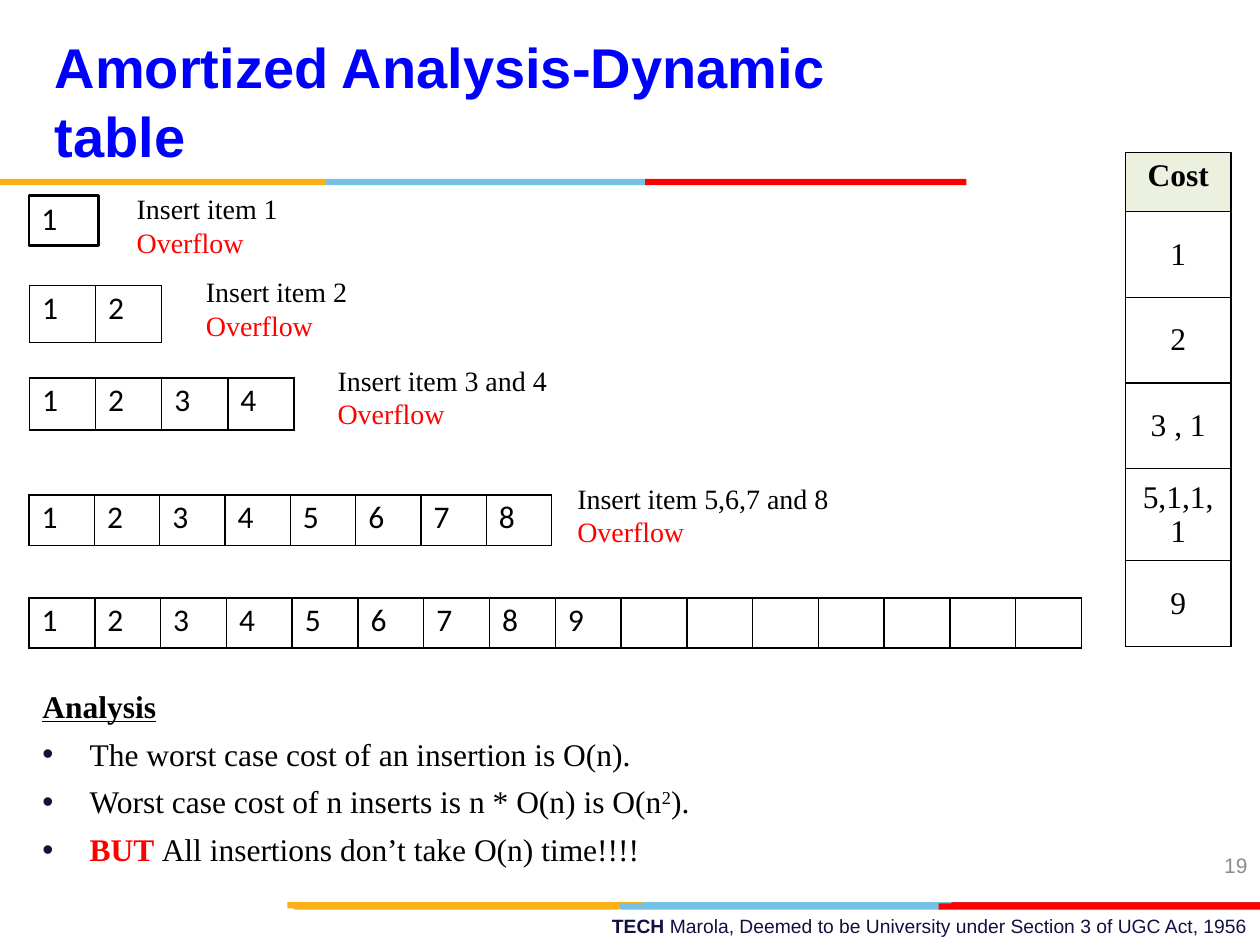
from dataclasses import dataclass
from typing import NamedTuple

from lxml.etree import SubElement
from pptx import Presentation
from pptx.dml.color import RGBColor
from pptx.enum.shapes import MSO_SHAPE
from pptx.enum.text import MSO_ANCHOR, MSO_AUTO_SIZE, PP_ALIGN
from pptx.oxml import parse_xml
from pptx.oxml.ns import nsdecls, qn
from pptx.util import Pt


@dataclass(frozen=True)
class Theme:
    sans: str = "Arial"
    serif: str = "Times New Roman"
    cell: str = "Calibri"
    black: str = "000000"
    white: str = "FFFFFF"
    red: str = "FF0000"
    crimson: str = "E31C24"
    blue: str = "0000FF"
    navy: str = "101141"
    grey: str = "8C8C8C"
    gold: str = "FCB017"
    sky: str = "76C2E5"
    header: str = "EBF1DE"
    title: int = 32
    body: int = 18
    label: int = 16
    number: int = 12
    footer: int = 11


class Box(NamedTuple):
    left: float
    top: float
    width: float
    height: float


class Strip(NamedTuple):
    top: float
    left: float
    width: float
    color: str


class ArrayTable(NamedTuple):
    box: Box
    slots: int
    filled: int


class Label(NamedTuple):
    box: Box
    text: str


class Span(NamedTuple):
    text: str
    color: str = "000000"
    bold: bool = False
    superscript: bool = False


T = Theme()
STANDARD = (7.2, 3.6, 7.2, 3.6)
SLOT = (7.2, 2.2, 0, 0)

STRIPS = [
    Strip(515.5, 364.3, 183.6, T.sky),
    Strip(515.5, 543.6, 176.4, T.crimson),
    Strip(515.5, 164.2, 203, T.gold),
    Strip(516.2, 354.2, 183.6, T.sky),
    Strip(516.2, 167.8, 186, T.gold),
    Strip(516.2, 536.4, 183.6, T.red),
    Strip(102.2, 185.8, 183.6, T.sky),
    Strip(102.2, 0, 185.8, T.gold),
    Strip(102.2, 368.6, 183.6, T.red),
]
ARRAYS = [
    ArrayTable(Box(16.8, 163.2, 75.6, 32.6), 2, 2),
    ArrayTable(Box(16.8, 216, 151.2, 29.8), 4, 4),
    ArrayTable(Box(16.6, 282.8, 298.8, 28.8), 8, 8),
    ArrayTable(Box(16.6, 341.6, 601.6, 28.8), 16, 9),
]
LABELS = [
    Label(Box(77.2, 108.7, 90, 40), "Insert item 1"),
    Label(Box(116.8, 156.2, 90, 40), "Insert item 2"),
    Label(Box(192, 206.6, 151.2, 40), "Insert item 3 and 4"),
    Label(Box(329, 274.1, 151.2, 40), "Insert item 5,6,7 and 8"),
]
COSTS = ["Cost", "1", "2", "3 , 1", "5,1,1,1", "9"]
COST_HEIGHTS = [33.8, 49, 49, 49, 52.6, 49]
POINTS = [
    [Span("The worst case cost of an insertion is O(n).")],
    [Span("Worst case cost of n inserts is n * O(n) is O(n"),
     Span("2", superscript=True), Span(").")],
    [Span("BUT ", T.red, bold=True), Span("All insertions don’t take O(n) time!!!!")],
]


def rgb(color: str) -> RGBColor:
    return RGBColor.from_string(color)


def style(font, name: str, size: float, color: str, bold: bool = False) -> None:
    font.name, font.size, font.bold = name, Pt(size), bold
    font.color.rgb = rgb(color)


def set_margins(obj, margins: tuple) -> None:
    """Apply left, top, right, bottom margins to a text frame or a table cell."""
    (obj.margin_left, obj.margin_top,
     obj.margin_right, obj.margin_bottom) = map(Pt, margins)


def add_text(s, box: Box, margins: tuple = STANDARD):
    tf = s.shapes.add_textbox(*map(Pt, box)).text_frame
    tf.word_wrap = True
    set_margins(tf, margins)
    return tf


def add_rect(s, box: Box, fill: str):
    sp = s.shapes.add_shape(MSO_SHAPE.RECTANGLE, *map(Pt, box))
    sp.shadow.inherit = False
    sp.fill.solid()
    sp.fill.fore_color.rgb = rgb(fill)
    sp.line.fill.background()
    return sp


def set_borders(cell) -> None:
    tc_pr = cell._tc.get_or_add_tcPr()
    for i, side in enumerate("LRTB"):
        tc_pr.insert(i, parse_xml(
            f'<a:ln{side} {nsdecls("a")} w="{Pt(1)}"><a:solidFill>'
            f'<a:srgbClr val="{T.black}"/></a:solidFill></a:ln{side}>'))


def add_table(s, rows: int, cols: int, box: Box):
    """Add a plain table with equal columns and black cell borders."""
    table = s.shapes.add_table(rows, cols, *map(Pt, box)).table
    table.first_row = table.horz_banding = False
    for col in table.columns:
        col.width = Pt(box.width / cols)
    for cell in table.iter_cells():
        cell.fill.background()
        set_borders(cell)
    return table


def add_array(s, array: ArrayTable) -> None:
    table = add_table(s, 1, array.slots, array.box)
    for i, cell in enumerate(table.iter_cells(), start=1):
        set_margins(cell, SLOT)
        p = cell.text_frame.paragraphs[0]
        style(p.font, T.cell, T.body, T.black)
        if i <= array.filled:
            p.text = str(i)


def add_costs(s) -> None:
    table = add_table(s, len(COSTS), 1, Box(643, 87.1, 60.5, sum(COST_HEIGHTS)))
    for row, height, text in zip(table.rows, COST_HEIGHTS, COSTS):
        row.height = Pt(height)
        cell = row.cells[0]
        cell.vertical_anchor = MSO_ANCHOR.MIDDLE
        p = cell.text_frame.paragraphs[0]
        p.text, p.alignment = text, PP_ALIGN.CENTER
        style(p.font, T.serif, T.body, T.black)
    head = table.cell(0, 0)
    head.vertical_anchor = MSO_ANCHOR.TOP
    head.fill.solid()
    head.fill.fore_color.rgb = rgb(T.header)
    head.text_frame.paragraphs[0].font.bold = True


def add_label(s, label: Label) -> None:
    tf = add_text(s, label.box, (0.9, 0.9, 0, 0))
    for p, text, color in zip((tf.paragraphs[0], tf.add_paragraph()),
                              (label.text, "Overflow"), (T.black, T.red)):
        p.text = text
        style(p.font, T.serif, T.label, color)


def set_bullet(p) -> None:
    p_pr = p._p.get_or_add_pPr()
    p_pr.set("marL", str(Pt(32)))
    p_pr.set("indent", str(Pt(-27)))
    SubElement(SubElement(p_pr, qn("a:buClr")), qn("a:srgbClr")).set("val", T.navy)
    SubElement(p_pr, qn("a:buFont")).set("typeface", T.sans)
    SubElement(p_pr, qn("a:buChar")).set("char", "•")


def add_analysis(s) -> None:
    tf = add_text(s, Box(12.2, 388.8, 681, 113))
    p = tf.paragraphs[0]
    p.text = "Analysis"
    p._p.get_or_add_pPr().set("marL", str(Pt(5)))
    style(p.font, T.serif, T.body, T.black, bold=True)
    p.font.underline = True
    for spans in POINTS:
        p = tf.add_paragraph()
        p.space_before = Pt(5.8)
        set_bullet(p)
        for span in spans:
            r = p.add_run()
            r.text = span.text
            style(r.font, T.serif, T.body, span.color, span.bold)
            if span.superscript:
                r._r.get_or_add_rPr().set("baseline", "30000")


def add_title(s) -> None:
    sp = s.shapes.title
    sp.left, sp.top, sp.width, sp.height = map(Pt, Box(24, 12.2, 498, 90))
    tf = sp.text_frame
    tf.text = "Amortized Analysis-Dynamic table"
    tf.word_wrap, tf.auto_size = True, MSO_AUTO_SIZE.NONE
    tf.vertical_anchor = MSO_ANCHOR.MIDDLE
    set_margins(tf, STANDARD)
    p = tf.paragraphs[0]
    p.alignment, p.line_spacing = PP_ALIGN.LEFT, 1.02
    style(p.font, T.sans, T.title, T.blue, bold=True)


def add_footer(s) -> None:
    p = add_text(s, Box(257.8, 519.1, 462.2, 20.9)).paragraphs[0]
    p.alignment = PP_ALIGN.RIGHT
    for text, bold in (("TECH ", True),
                       ("Marola, Deemed to be University under Section 3 of UGC Act, 1956", False)):
        r = p.add_run()
        r.text = text
        style(r.font, T.sans, T.footer, T.navy, bold)
    tf = add_text(s, Box(552.2, 480.2, 167.8, 28.8))
    tf.vertical_anchor = MSO_ANCHOR.MIDDLE
    p = tf.paragraphs[0]
    p.text, p.alignment = "19", PP_ALIGN.RIGHT
    style(p.font, T.sans, T.number, T.grey)


def add_single_slot(s) -> None:
    sp = add_rect(s, Box(16.6, 111.6, 39.6, 28.8), T.white)
    sp.line.color.rgb, sp.line.width = rgb(T.black), Pt(1.5)
    tf = sp.text_frame
    set_margins(tf, SLOT)
    tf.vertical_anchor = MSO_ANCHOR.TOP
    p = tf.paragraphs[0]
    p.text, p.alignment = "1", PP_ALIGN.LEFT
    style(p.font, T.cell, T.body, T.black)


def main() -> None:
    prs = Presentation()
    prs.slide_width, prs.slide_height = Pt(720), Pt(540)
    s = prs.slides.add_slide(prs.slide_layouts[5])
    for strip in STRIPS:
        add_rect(s, Box(strip.left, strip.top, strip.width, 3.6), strip.color)
    add_title(s)
    add_footer(s)
    add_single_slot(s)
    for array in ARRAYS:
        add_array(s, array)
    for label in LABELS:
        add_label(s, label)
    add_analysis(s)
    add_costs(s)
    prs.save("out.pptx")


if __name__ == "__main__":
    main()
